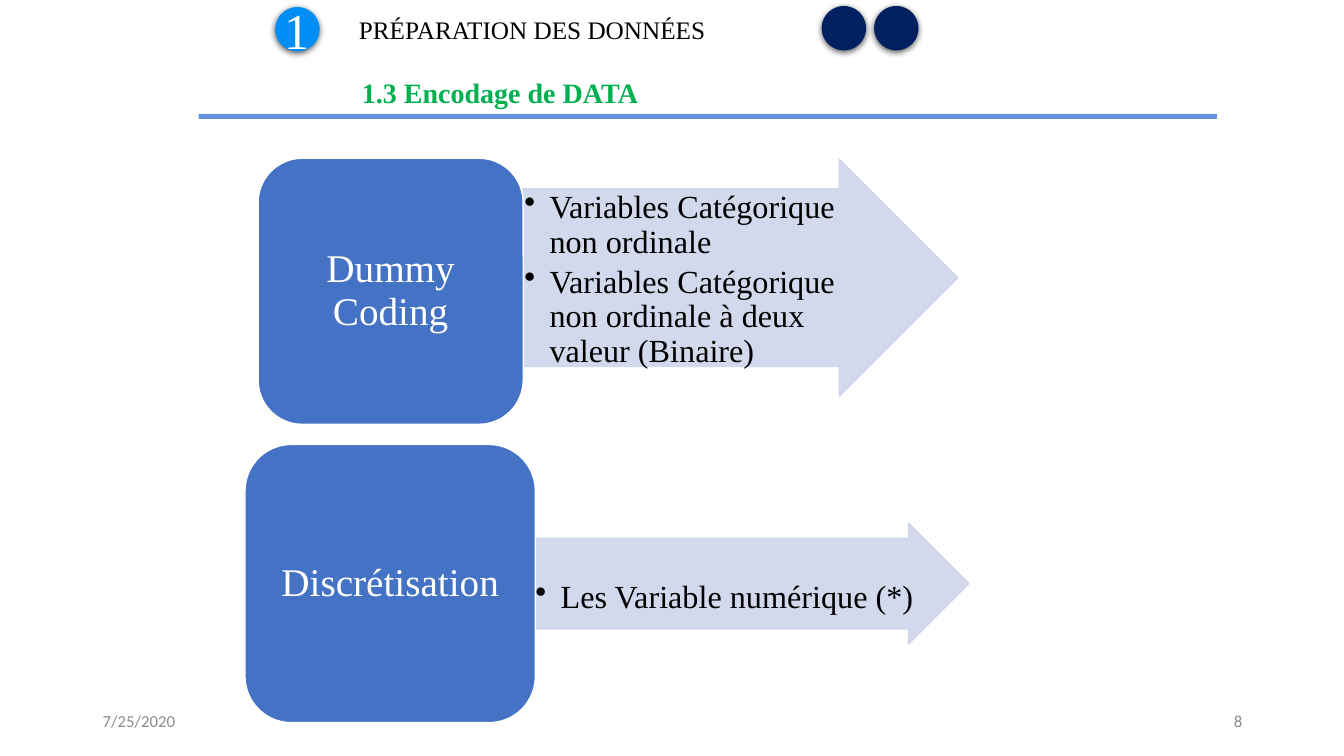
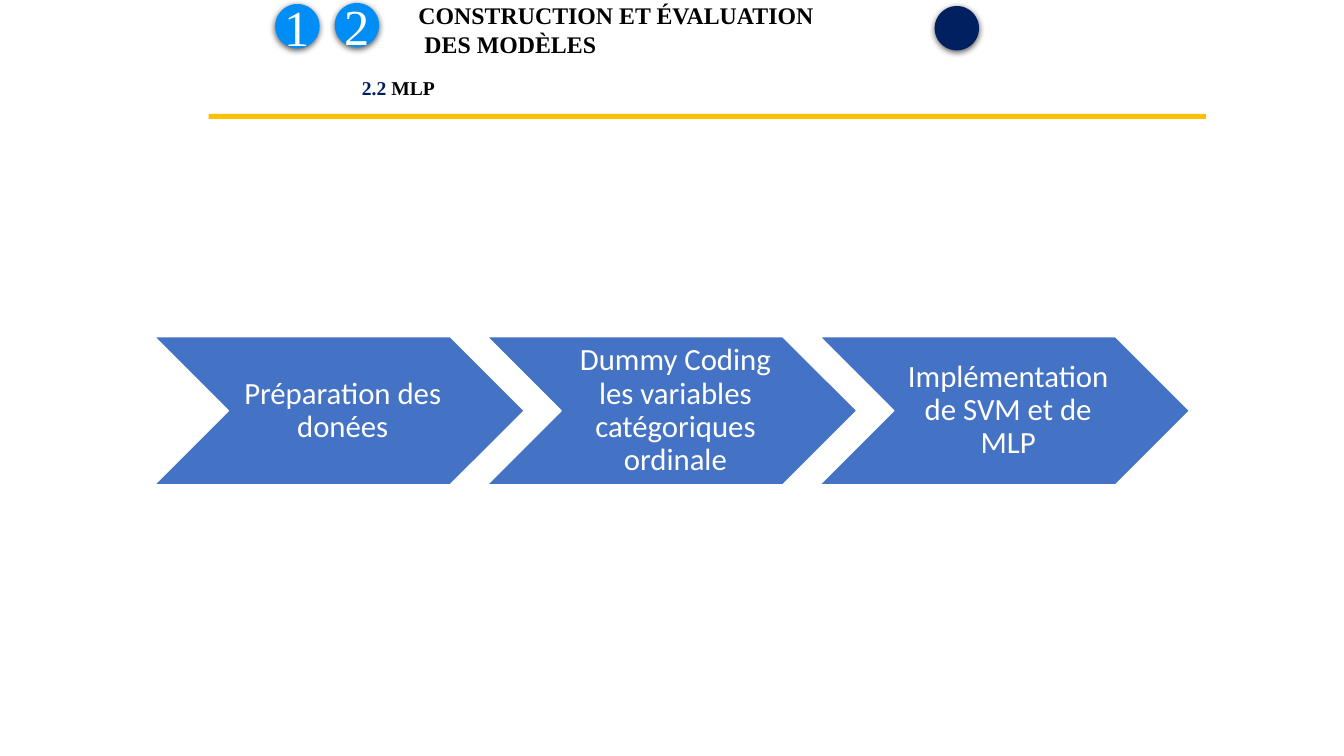
from pptx import Presentation
from pptx import util as u
from pptx.dml.color import RGBColor
from pptx.enum import shapes, text
from pptx.oxml.xmlchemy import OxmlElement

COLOURS = {
    "black": "000000", "white": "FFFFFF", "grey": "8C8C8C",
    "done": "008DF6", "pending": "002060", "green": "00B050",
    "rule_blue": "6392DF", "rule_gold": "FFC000",
    "block": "4472C4", "arrow": "CFD5EA",
}
SERIF, SANS = "Times New Roman", "Calibri"
SHAPE, ALIGN, ANCHOR = shapes.MSO_SHAPE, text.PP_ALIGN, text.MSO_ANCHOR
DOT_SIZE = 0.44


# ---- Text and formatting helpers ----
def colour(name):
    return RGBColor.from_string(COLOURS[name])


def add_xml(parent, tag, **attributes):
    child = OxmlElement(tag)
    for key, value in attributes.items():
        child.set(key, str(value))
    parent.append(child)
    return child


def set_frame(frame, insets=(0.1, 0.05, 0.1, 0.05), anchor=ANCHOR.TOP, wrap=True):
    frame.word_wrap = wrap
    frame.auto_size = text.MSO_AUTO_SIZE.NONE
    frame.vertical_anchor = anchor
    (frame.margin_left, frame.margin_top,
     frame.margin_right, frame.margin_bottom) = map(u.Inches, insets)


def write(frame, lines, size, ink, face=SERIF, bold=False, align=ALIGN.LEFT,
          spacing=1.0, after=0):
    """Each line is a string, or a list of (string, colour) spans."""
    for index, line in enumerate(lines):
        para = frame.paragraphs[0] if index == 0 else frame.add_paragraph()
        para.alignment, para.line_spacing = align, spacing
        para.space_after = u.Pt(after)
        font = para.font
        font.name, font.size, font.bold = face, u.Pt(size), bold
        font.color.rgb = colour(ink)
        spans = [(line, None)] if isinstance(line, str) else line
        for words, span_ink in spans:
            span = para.add_run()
            span.text = words
            if span_ink:
                span.font.color.rgb = colour(span_ink)


def set_indent(para, left, first=0.0, bullet=None):
    properties = para._p.get_or_add_pPr()
    properties.set("marL", str(u.Inches(left)))
    properties.set("indent", str(u.Inches(first)))
    if bullet:
        mark = OxmlElement("a:buChar")
        mark.set("char", bullet)
        properties.insert_element_before(mark, "a:tabLst", "a:defRPr", "a:extLst")


def add_label(page, at, lines, size, ink, anchor=ANCHOR.TOP, **style):
    box = page.shapes.add_textbox(*map(u.Inches, at))
    set_frame(box.text_frame, anchor=anchor)
    write(box.text_frame, lines, size, ink, **style)


def add_figure(page, kind, at, fill, line=None):
    figure = page.shapes.add_shape(kind, *map(u.Inches, at))
    figure.shadow.inherit = False
    figure.fill.solid()
    figure.fill.fore_color.rgb = colour(fill)
    if line:
        figure.line.color.rgb = colour(line)
        figure.line.width = u.Pt(1)
    else:
        figure.line.fill.background()
    return figure


# ---- Header and footer parts ----
def add_title(page, at, lines, size, bold=False):
    title = page.shapes.title
    title.left, title.top, title.width, title.height = map(u.Inches, at)
    set_frame(title.text_frame)
    write(title.text_frame, lines, size, "black", bold=bold)
    return title


def add_dot(page, left, top, number=None):
    dot = add_figure(page, SHAPE.OVAL, (left, top, DOT_SIZE, DOT_SIZE),
                     "done" if number else "pending")
    effects = dot._element.spPr.find(
        "{http://schemas.openxmlformats.org/drawingml/2006/main}effectLst")
    shadow = add_xml(effects, "a:outerShdw", blurRad=u.Pt(4.5), dist=u.Pt(1.5),
                     dir=90 * 60000, algn="ctr", rotWithShape=0)
    add_xml(add_xml(shadow, "a:srgbClr", val=COLOURS["black"]), "a:alpha", val=63000)
    if number:
        set_frame(dot.text_frame, (0, 0, 0, 0), ANCHOR.MIDDLE, wrap=False)
        write(dot.text_frame, [number], 36, "white", align=ALIGN.CENTER)


def add_rule(page, left, width, fill):
    add_figure(page, SHAPE.RECTANGLE, (left, 1.13, width, 0.05), fill)


def add_footer(page, date, number):
    for left, words, align in ((0.92, date, ALIGN.LEFT), (9.42, number, ALIGN.RIGHT)):
        add_label(page, (left, 6.95, 3, 0.4), [words], 12, "grey",
                  anchor=ANCHOR.MIDDLE, face=SANS, align=align)


# ---- Diagram parts ----
def add_bullet_arrow(page, at, bullets, top_inset=0.02):
    arrow = add_figure(page, SHAPE.RIGHT_ARROW, at, "arrow", "arrow")
    arrow.adjustments[0], arrow.adjustments[1] = 0.75, 0.5
    for tint in arrow._element.spPr.xpath(".//a:srgbClr"):
        add_xml(tint, "a:alpha", val=90000)
    set_frame(arrow.text_frame, (0.02, top_inset, 0.02, 0.02))
    write(arrow.text_frame, bullets, 23, "black", spacing=0.9, after=3.5)
    for para in arrow.text_frame.paragraphs:
        set_indent(para, 0.25, -0.25, "•")


def add_block(page, kind, at, words, size, face, insets):
    block = add_figure(page, kind, at, "block", "white")
    set_frame(block.text_frame, insets, ANCHOR.MIDDLE)
    write(block.text_frame, [words], size, "white", face=face,
          align=ALIGN.CENTER, spacing=0.9)


# ---- Slides ----
def build_encoding(page):
    add_title(page, (3.46, 0.09, 4.39, 0.4), ["PRÉPARATION DES DONNÉES"], 18)
    add_dot(page, 2.73, 0.07, "1")
    for left in (8.15, 8.67):
        add_dot(page, left, 0.06)
    add_label(page, (3.49, 0.7, 3.5, 0.44), ["1.3 Encodage de DATA"], 20, "green",
              bold=True)
    add_rule(page, 1.97, 10.1, "rule_blue")

    add_bullet_arrow(page, (5.18, 1.58, 4.32, 2.35),
                     ["Variables Catégorique non ordinale",
                      "Variables Catégorique non ordinale à deux valeur (Binaire)"])
    add_bullet_arrow(page, (5.29, 5.19, 4.32, 1.2), ["Les Variable numérique (*)"],
                     top_inset=0.42)
    for at, words in (((2.56, 1.57, 2.63, 2.64), "Dummy Coding"),
                      ((2.43, 4.41, 2.88, 2.76), "Discrétisation")):
        add_block(page, SHAPE.ROUNDED_RECTANGLE, at, words, 28, SERIF,
                  (0.12, 0.06, 0.12, 0.06))
    add_footer(page, "7/25/2020", "8")


def build_models(page):
    title = add_title(page, (4.05, -0.04, 4.24, 0.67),
                      ["CONSTRUCTION ET ÉVALUATION", "DES MODÈLES"], 17, bold=True)
    set_indent(title.text_frame.paragraphs[1], 0.06)
    add_dot(page, 2.73, 0.04, "1")
    add_dot(page, 3.32, 0.03, "2")
    add_dot(page, 9.27, 0.06)
    add_label(page, (3.49, 0.7, 3.18, 0.34), [[("2.2 ", "pending"), ("MLP", "black")]],
              14, "black", bold=True)
    add_rule(page, 2.07, 9.89, "rule_gold")

    steps = ("Préparation des donées",
             "Dummy Coding les variables catégoriques ordinale",
             "Implémentation de SVM et de MLP")
    for index, words in enumerate(steps):
        add_block(page, SHAPE.CHEVRON, (1.53 + 3.3 * index, 3.34, 3.67, 1.47),
                  words, 22, SANS, (0.1, 0.03, 0.03, 0.03))


def main():
    deck = Presentation()
    deck.slide_width, deck.slide_height = u.Inches(13.33), u.Inches(7.5)
    title_only = deck.slide_layouts.get_by_name("Title Only")
    for build in (build_encoding, build_models):
        build(deck.slides.add_slide(title_only))
    deck.save("out.pptx")


if __name__ == "__main__":
    main()
